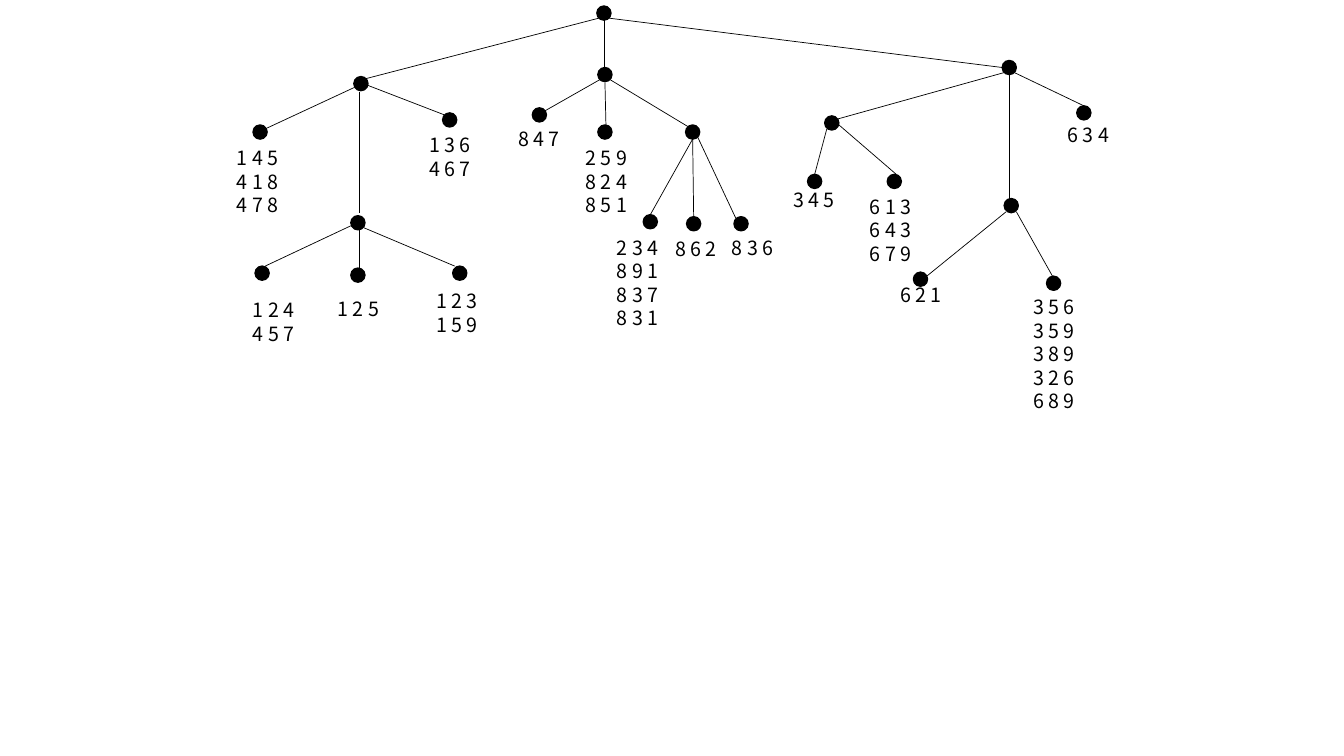
import pptx
import pptx.util
import pptx.dml.color
import pptx.enum.shapes
import pptx.enum.text
import pptx.oxml

PX = 9144
DOT = 14
LABEL_WIDTH = 81
LINE_PITCH = 16.8
COLORS = {"ink": "000000", "paper": "FFFFFF"}
INK = pptx.dml.color.RGBColor.from_string(COLORS["ink"])

EDGES = [
    (594, 18, 363, 78), (599, 20, 599, 68), (604, 18, 994, 67),
    (351, 87, 265, 127), (356, 91, 356, 211), (446, 116, 363, 84),
    (348, 224, 263, 264), (356, 228, 356, 269), (361, 226, 451, 264),
    (537, 112, 595, 79), (601, 124, 600, 82), (683, 126, 605, 79),
    (645, 213, 687, 138), (688, 215, 687, 138), (730, 217, 692, 136),
    (996, 72, 831, 118), (1001, 74, 1001, 199), (1006, 72, 1075, 105),
    (808, 173, 820, 128), (889, 173, 831, 123),
    (998, 210, 913, 279), (1008, 210, 1045, 276),
]

NODES = [
    (592, 6), (351, 76), (593, 67), (994, 60),
    (251, 124), (348, 214), (439, 112),
    (253, 264), (348, 266), (449, 264),
    (528, 107), (593, 124), (680, 124),
    (638, 213), (681, 215), (728, 215),
    (818, 115), (996, 197), (1068, 105),
    (801, 173), (880, 173), (906, 270), (1038, 274),
]

LEAF_LABELS = [
    (225, 140, ["1 4 5", "4 1 8", "4 7 8"]),
    (241, 291, ["1 2 4", "4 5 7"]),
    (325, 290, ["1 2 5"]),
    (423, 282, ["1 2 3", "1 5 9"]),
    (416, 127, ["1 3 6", "4 6 7"]),
    (504, 121, ["8 4 7"]),
    (571, 140, ["2 5 9", "8 2 4", "8 5 1"]),
    (602, 229, ["2 3 4", "8 9 1", "8 3 7", "8 3 1"]),
    (660, 230, ["8 6 2"]),
    (716, 229, ["8 3 6"]),
    (777, 182, ["3 4 5"]),
    (853, 188, ["6 1 3", "6 4 3", "6 7 9"]),
    (883, 276, ["6 2 1"]),
    (1015, 288, ["3 5 6", "3 5 9", "3 8 9", "3 2 6", "6 8 9"]),
    (1049, 117, ["6 3 4"]),
]

FRAME_FORMAT = {
    "word_wrap": True,
    "auto_size": pptx.enum.text.MSO_AUTO_SIZE.SHAPE_TO_FIT_TEXT,
    "margin_left": 10 * PX,
    "margin_right": 10 * PX,
    "margin_top": 5 * PX,
    "margin_bottom": 5 * PX,
}
FONT_FORMAT = {"name": "Noto Sans CJK SC", "size": pptx.util.Pt(14)}


def scaled(*lengths):
    return [length * PX for length in lengths]


deck = pptx.Presentation()
deck.slide_width, deck.slide_height = scaled(1333, 750)
slide = deck.slides.add_slide(deck.slide_layouts[6])
slide.background.fill.solid()
slide.background.fill.fore_color.rgb = pptx.dml.color.RGBColor.from_string(COLORS["paper"])

for edge in EDGES:
    connector = slide.shapes.add_connector(
        pptx.enum.shapes.MSO_CONNECTOR.STRAIGHT, *scaled(*edge))
    connector.line.color.rgb = INK
    connector.line.width = pptx.util.Pt(0.5)
    connector._element.spPr.append(pptx.oxml.parse_xml(
        '<a:effectLst xmlns:a="http://schemas.openxmlformats.org/drawingml/2006/main"/>'))

for left, top in NODES:
    node = slide.shapes.add_shape(
        pptx.enum.shapes.MSO_SHAPE.OVAL, *scaled(left, top, DOT, DOT))
    node.shadow.inherit = False
    node.fill.solid()
    node.fill.fore_color.rgb = INK
    node.line.color.rgb = INK
    node.line.width = pptx.util.Pt(1)

for left, top, itemsets in LEAF_LABELS:
    height = 10 + round(len(itemsets) * LINE_PITCH * 100 / 72)
    box = slide.shapes.add_textbox(*scaled(left, top, LABEL_WIDTH, height))
    frame = box.text_frame
    for name, value in FRAME_FORMAT.items():
        setattr(frame, name, value)
    frame.text = "\n".join(itemsets)
    for para in frame.paragraphs:
        para.line_spacing = pptx.util.Pt(LINE_PITCH)
        for span in para.runs:
            for name, value in FONT_FORMAT.items():
                setattr(span.font, name, value)
            span.font.color.rgb = INK

deck.save("out.pptx")
